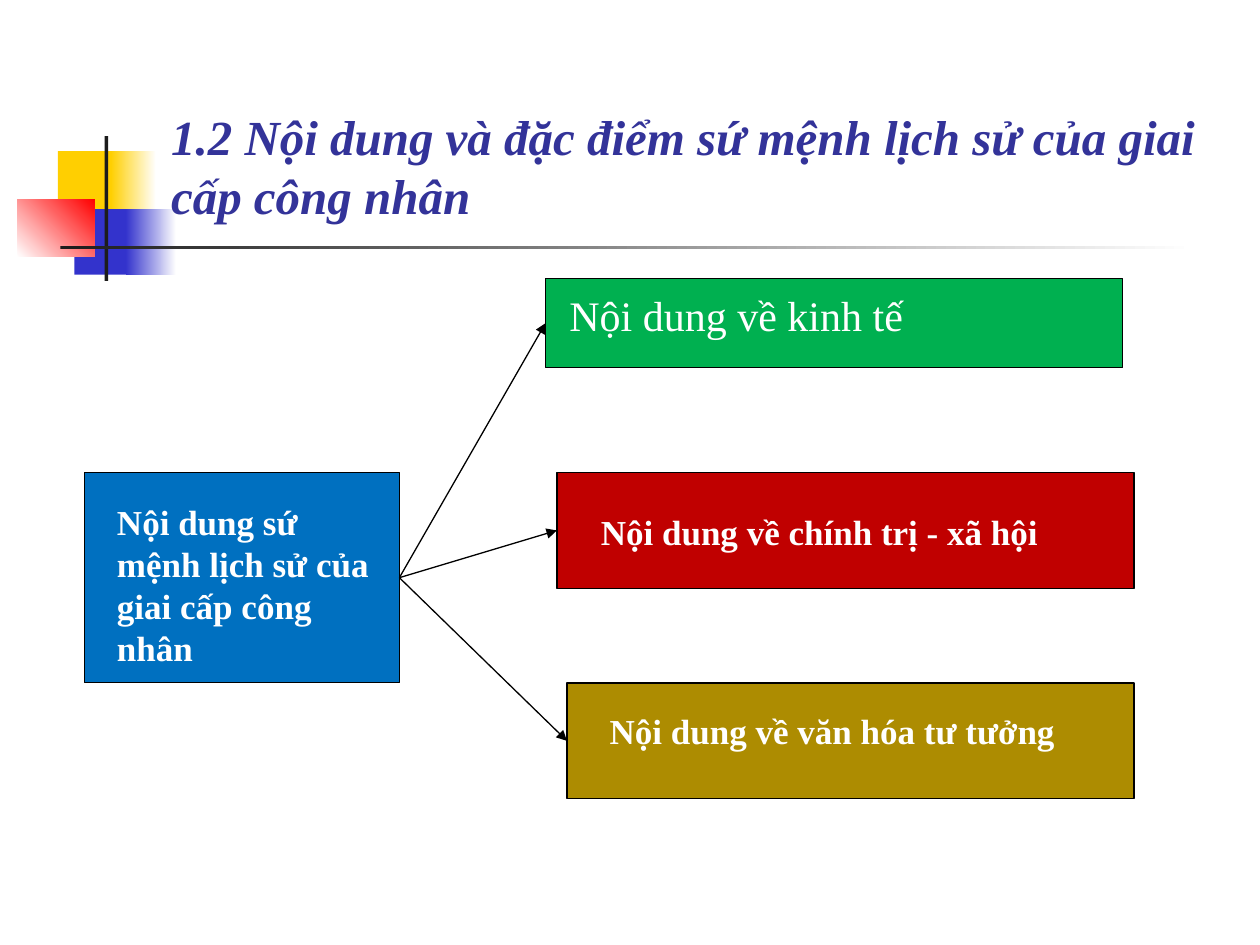
import pptx
import pptx.dml.color
import pptx.enum.shapes
import pptx.enum.text
import pptx.oxml
import pptx.oxml.ns
import pptx.util
from dataclasses import dataclass

Inches = pptx.util.Inches
Align = pptx.enum.text.PP_ALIGN
Anchor = pptx.enum.text.MSO_ANCHOR


@dataclass(frozen=True)
class Theme:
    font: str = "Times New Roman"
    title_size: int = 28
    large_size: int = 24
    body_size: int = 20
    line_width: float = 0.75
    title: str = "333399"
    white: str = "FFFFFF"
    black: str = "000000"
    charcoal: str = "1C1C1C"
    yellow: str = "FFCF01"
    indigo: str = "3333CC"
    red: str = "FF0000"
    blue: str = "0070C0"
    green: str = "00B050"
    crimson: str = "C00000"
    gold: str = "AD8C01"


def rgb(value):
    return pptx.dml.color.RGBColor.from_string(value)


def apply(target, values):
    for name, value in values.items():
        setattr(target, name, value)


class SlideBuilder:
    def __init__(self, slide, theme):
        self.slide = slide
        self.theme = theme

    def rectangle(self, box, color):
        shape = self.slide.shapes.add_shape(
            pptx.enum.shapes.MSO_SHAPE.RECTANGLE, *map(Inches, box))
        shape.shadow.inherit = False
        shape.fill.solid()
        shape.fill.fore_color.rgb = rgb(color)
        shape.line.fill.background()
        return shape

    def gradient(self, box, start, end, angle=0):
        shape = self.rectangle(box, start)
        shape.fill.gradient()
        shape.fill.gradient_angle = angle
        for stop, color in zip(shape.fill.gradient_stops, (start, end)):
            stop.color.rgb = rgb(color)

    def panel(self, box, color):
        shape = self.rectangle(box, color)
        shape.line.color.rgb = rgb(self.theme.black)
        shape.line.width = pptx.util.Pt(self.theme.line_width)
        return shape

    def text(self, box, content, size, color, anchor=Anchor.TOP,
             alignment=Align.LEFT, **styles):
        frame = self.slide.shapes.add_textbox(*map(Inches, box)).text_frame
        apply(frame, {"word_wrap": True, "vertical_anchor": anchor})
        paragraph = frame.paragraphs[0]
        paragraph.alignment = alignment
        run = paragraph.add_run()
        run.text = content
        apply(run.font, {"name": self.theme.font,
                         "size": pptx.util.Pt(size), **styles})
        run.font.color.rgb = rgb(color)

    def arrow(self, source, target):
        connector = self.slide.shapes.add_connector(
            pptx.enum.shapes.MSO_CONNECTOR.STRAIGHT, 0, 0, 0, 0)
        connector.begin_connect(source, 3)
        connector.end_connect(target, 1)
        connector.line.color.rgb = rgb(self.theme.black)
        connector.line.width = pptx.util.Pt(self.theme.line_width)
        namespace = pptx.oxml.ns.nsdecls("a")
        line = connector.line._get_or_add_ln()
        line.append(pptx.oxml.parse_xml(f'<a:tailEnd {namespace} type="triangle"/>'))
        connector._element.spPr.append(
            pptx.oxml.parse_xml(f"<a:effectLst {namespace}/>"))


def main():
    presentation = pptx.Presentation()
    presentation.slide_width = Inches(10)
    presentation.slide_height = Inches(7.5)
    theme = Theme()
    slide = presentation.slides.add_slide(presentation.slide_layouts[6])
    builder = SlideBuilder(slide, theme)

    builder.rectangle((0.46, 1.2, 0.48, 0.52), theme.yellow)
    builder.gradient((0.88, 1.2, 0.36, 0.52), theme.yellow, theme.white)
    builder.rectangle((0.59, 1.66, 0.46, 0.52), theme.indigo)
    builder.gradient((1, 1.66, 0.4, 0.52), theme.indigo, theme.white)
    builder.gradient((0.14, 1.58, 0.61, 0.46), theme.white, theme.red, angle=45)
    builder.rectangle((0.83, 1.08, 0.03, 1.15), theme.charcoal)
    builder.gradient((0.48, 1.95, 9, 0.03), theme.charcoal, theme.white)

    builder.text((1.26, 0.23, 8.52, 1.6),
                 "1.2 Nội dung và đặc điểm sứ mệnh lịch sử của giai cấp công nhân",
                 theme.title_size, theme.title, anchor=Anchor.BOTTOM,
                 bold=True, italic=True)

    mission = builder.panel((0.67, 3.75, 2.5, 1.67), theme.blue)
    builder.text((0.83, 3.92, 2.25, 1.45),
                 "Nội dung sứ mệnh lịch sử của giai cấp công nhân",
                 theme.body_size, theme.white, bold=True)

    branches = [
        ((4.33, 2.21, 4.58, 0.71), theme.green, (4.42, 2.25, 4.42, 0.5),
         "Nội dung về kinh tế", theme.large_size, {}),
        ((4.42, 3.75, 4.58, 0.92), theme.crimson, (4.67, 4, 3.83, 0.44),
         "Nội dung về chính trị - xã hội", theme.body_size, {"bold": True}),
        ((4.5, 5.42, 4.5, 0.92), theme.gold, (4.74, 5.58, 3.76, 0.44),
         "Nội dung về văn hóa tư tưởng", theme.body_size,
         {"bold": True, "alignment": Align.JUSTIFY}),
    ]
    for panel_box, color, text_box, content, size, styles in branches:
        panel = builder.panel(panel_box, color)
        builder.text(text_box, content, size, theme.white, **styles)
        builder.arrow(mission, panel)

    presentation.save("out.pptx")


if __name__ == "__main__":
    main()
